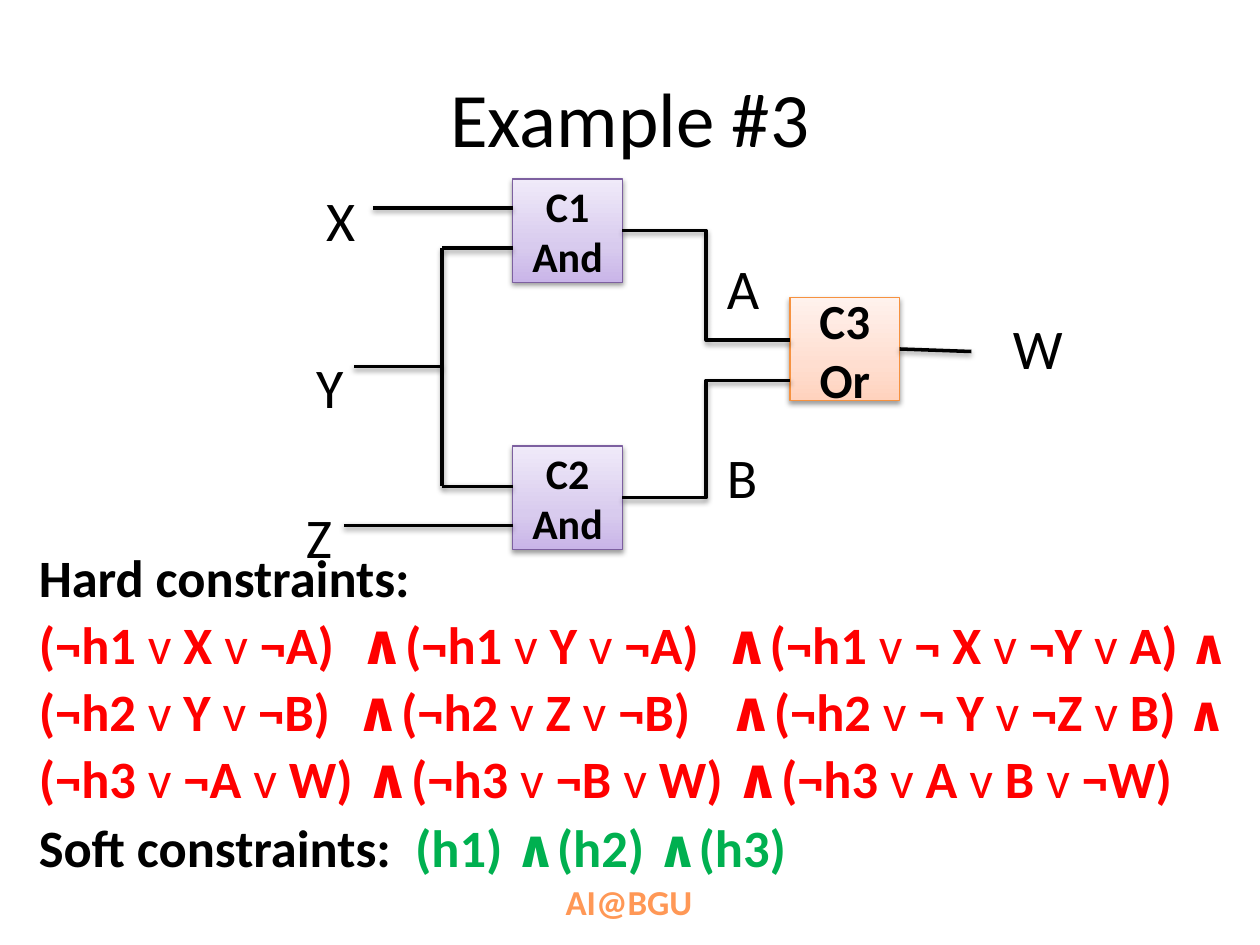
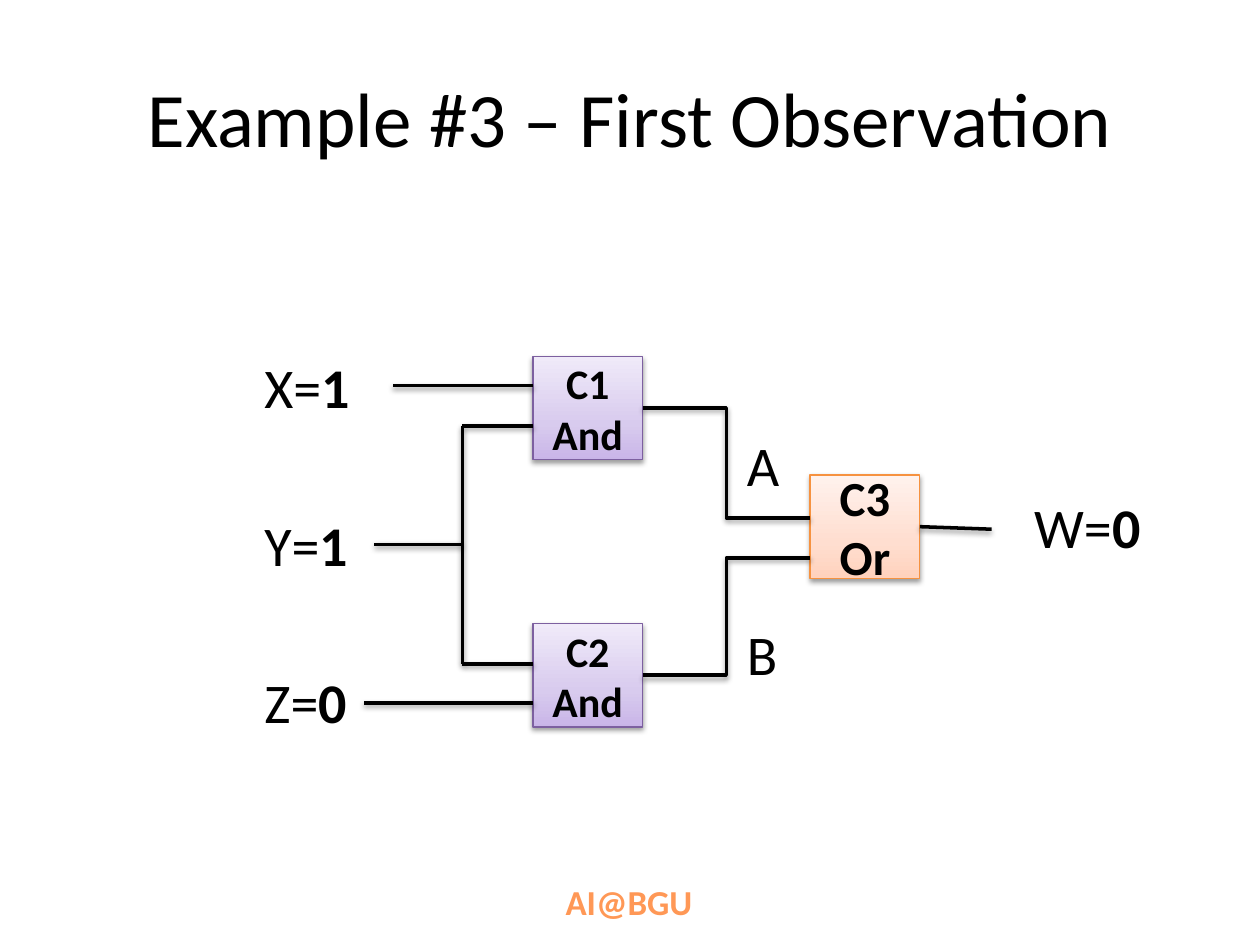
from dataclasses import dataclass

from lxml.etree import SubElement as Sub
from pptx import Presentation
from pptx.dml.color import RGBColor as Rgb
from pptx.enum.shapes import MSO_CONNECTOR as Link, MSO_SHAPE as Shape
from pptx.enum.text import MSO_ANCHOR as Anchor, PP_ALIGN as Align
from pptx.oxml.ns import qn
from pptx.util import Inches, Pt


@dataclass(frozen=True)
class Theme:
    """Colours, type sizes and line widths of the deck."""
    font: str = "Calibri"
    black: str = "000000"
    red: str = "FF0000"
    green: str = "00B050"
    orange: str = "FF9856"
    violet: tuple = ("C9B5E8", "D8CBEE", "F0EAF9", "7D60A0")
    peach: tuple = ("FFD2BD", "FFDED0", "FFF2ED", "F69240")
    title: int = 44
    label: int = 32
    join: int = 32
    last: int = 28
    rule: int = 30
    foot: int = 20
    gate: int = 24
    gate_or: int = 28
    wire: float = 2
    edge: float = 0.75


T = Theme()
GATE_W, GATE_H = 0.87, 0.82
GATES = (
    ("C1", "And", 0, 0, T.violet, T.gate),
    ("C2", "And", 0, 2.12, T.violet, T.gate),
    ("C3", "Or", 2.2, 0.94, T.peach, T.gate_or),
)
FORK = -0.56
INPUTS = (
    (-1.11, 0.23, 0, 0.23),
    (FORK, 0.55, 0, 0.55),
    (FORK, 2.44, 0, 2.44),
    (-1.34, 2.75, 0, 2.75),
    (FORK, 0.55, FORK, 2.44),
    (FORK, 1.49, -1.26, 1.49),
)
HARD = (
    "(¬h1 v X v ¬A)|  ∧|(¬h1 v Y v ¬A)|  ∧|(¬h1 v ¬ X v ¬Y v A)| ∧",
    "(¬h2 v Y v ¬B)|  ∧|(¬h2 v Z v ¬B)|   ∧|(¬h2 v ¬ Y v ¬Z v B)| ∧",
    "(¬h3 v ¬A v W)| ∧|(¬h3 v ¬B v W)| ∧|(¬h3 v A v B v ¬W)",
)


def style(font, size, color=T.black, bold=False):
    """Set face, size, colour and weight of a font."""
    font.name, font.size, font.bold = T.font, Pt(size), bold
    font.color.rgb = Rgb.from_string(color)


def add_run(para, text, size, color=T.black, bold=False):
    """Append a styled run to a paragraph."""
    run = para.add_run()
    run.text = text
    style(run.font, size, color, bold)


def add_box(slide, x, y, w, h):
    """Add a wrapping text box and return its text frame."""
    box = slide.shapes.add_textbox(Inches(x), Inches(y), Inches(w), Inches(h))
    box.text_frame.word_wrap = True
    return box.text_frame


def shade(item):
    """Give a shape or connector the soft drop shadow."""
    effect = Sub(item.element.spPr, qn("a:effectLst"))
    drop = Sub(effect, qn("a:outerShdw"), blurRad=str(Pt(3.1)),
               dist=str(Pt(1.6)), dir="5400000", rotWithShape="0")
    color = Sub(drop, qn("a:srgbClr"), val=T.black)
    Sub(color, qn("a:alpha"), val="38000")


def blend(shape, colors):
    """Fill a shape with a three-stop gradient rising from its base."""
    shape.fill.gradient()
    grad = shape.element.spPr.find(qn("a:gradFill"))
    stops = grad.find(qn("a:gsLst"))
    for stop in list(stops):
        stops.remove(stop)
    for place, color in zip((0, 35, 100), colors):
        stop = Sub(stops, qn("a:gs"), pos=str(place * 1000))
        Sub(stop, qn("a:srgbClr"), val=color)
    grad.find(qn("a:lin")).set("ang", "16200000")


def add_gate(slide, x, y, name, kind, colors, size):
    """Add a logic gate with its name and kind."""
    gate = slide.shapes.add_shape(Shape.RECTANGLE, Inches(x), Inches(y),
                                  Inches(GATE_W), Inches(GATE_H))
    blend(gate, colors)
    gate.line.color.rgb = Rgb.from_string(colors[-1])
    gate.line.width = Pt(T.edge)
    shade(gate)
    frame = gate.text_frame
    frame.vertical_anchor = Anchor.MIDDLE
    frame.text = f"{name}\n{kind}"
    for para in frame.paragraphs:
        para.alignment = Align.CENTER
        style(para.font, size, bold=True)
    return gate


def add_wire(slide, x1, y1, x2, y2, start=None, kind=Link.STRAIGHT):
    """Add a wire, joined to the right side of a start gate if given."""
    wire = slide.shapes.add_connector(
        kind, Inches(x1), Inches(y1), Inches(x2), Inches(y2))
    if start is not None:
        wire.begin_connect(start, 3)
    wire.line.color.rgb = Rgb.from_string(T.black)
    wire.line.width = Pt(T.wire)
    shade(wire)


def add_name(slide, x, y, text):
    """Add a one-letter signal name."""
    para = add_box(slide, x, y, 0.39, 0.64).paragraphs[0]
    para.text = text
    para.alignment = Align.RIGHT
    style(para.font, T.label)


def add_value(slide, x, y, name, value):
    """Add a signal name with its observed value in bold."""
    para = add_box(slide, x, y, 1.1, 0.64).paragraphs[0]
    add_run(para, f"{name}=", T.label)
    add_run(para, value, T.label, bold=True)


def add_circuit(slide, x, y):
    """Draw the three-gate circuit with the first gate at x, y."""
    one, two, three = [
        add_gate(slide, x + dx, y + dy, name, kind, colors, size)
        for name, kind, dx, dy, colors, size in GATES]
    for x1, y1, x2, y2 in INPUTS:
        add_wire(slide, x + x1, y + y1, x + x2, y + y2)
    for gate, y1, y2 in ((two, 2.53, 1.6), (one, 0.41, 1.28)):
        add_wire(slide, x + GATE_W, y + y1, x + 2.2, y + y2, gate, Link.ELBOW)
    add_wire(slide, x + 3.07, y + 1.35, x + 3.64, y + 1.37, three)
    add_name(slide, x + 1.6, y + 0.54, "A")
    add_name(slide, x + 1.6, y + 2.04, "B")


def add_clause(para, clause):
    """Write a clause in bold with its v signs in regular weight."""
    for i, term in enumerate(clause.split("v ")):
        if i:
            add_run(para, "v ", T.rule, T.red)
        add_run(para, term, T.rule, T.red, True)


def add_rules(slide):
    """Write the hard and soft constraints."""
    frame = add_box(slide, 0.21, 4.28, 10.04, 2.22)
    head = frame.paragraphs[0]
    head.text = "Hard constraints:"
    style(head.font, T.rule, bold=True)
    for row in HARD:
        para = frame.add_paragraph()
        parts = row.split("|")
        for i, part in enumerate(parts, 1):
            if "∧" in part:
                size = T.last if i == len(parts) else T.join
                add_run(para, part, size, T.red, True)
            else:
                add_clause(para, part)
    soft = add_box(slide, 0.21, 6.42, 10.04, 0.61).paragraphs[0]
    add_run(soft, "Soft constraints:  ", T.rule, bold=True)
    add_run(soft, "(h1) ∧(h2) ∧(h3)", T.rule, T.green, True)


def add_slide(deck, text):
    """Add a slide with its title."""
    slide = deck.slides.add_slide(deck.slide_layouts[5])
    title = slide.shapes.title
    title.left, title.top = Inches(0.5), Inches(0.3)
    title.width, title.height = Inches(9), Inches(1.25)
    title.text_frame.vertical_anchor = Anchor.MIDDLE
    para = title.text_frame.paragraphs[0]
    para.text = text
    para.alignment = Align.CENTER
    style(para.font, T.title)
    return slide


def add_foot(deck, slide):
    """Write the footer and move it to the slide master."""
    box = slide.shapes.add_textbox(Inches(4.39), Inches(6.94),
                                   Inches(3.17), Inches(0.4))
    box.text_frame.word_wrap = True
    para = box.text_frame.paragraphs[0]
    para.text = "AI@BGU"
    style(para.font, T.foot, T.orange, True)
    deck.slide_master.shapes.element.append(box.element)


def main():
    """Build both slides and save the deck."""
    deck = Presentation()
    deck.slide_width, deck.slide_height = Inches(10), Inches(7.5)

    model = add_slide(deck, "Example #3")
    add_foot(deck, model)
    add_rules(model)
    add_circuit(model, 4.07, 1.42)
    for x, y, name in ((2.49, 1.42, "X"), (2.41, 2.75, "Y"),
                       (2.33, 3.94, "Z"), (7.94, 2.44, "W")):
        add_name(model, x, y, name)

    case = add_slide(deck, "Example #3 – First Observation")
    add_circuit(case, 4.23, 2.83)
    for i, (name, value) in enumerate((("X", "1"), ("Y", "1"), ("Z", "0"))):
        add_value(case, 2, 2.75 + 1.25 * i, name, value)
    add_value(case, 8.11, 3.86, "W", "0")

    deck.save("out.pptx")


if __name__ == "__main__":
    main()
